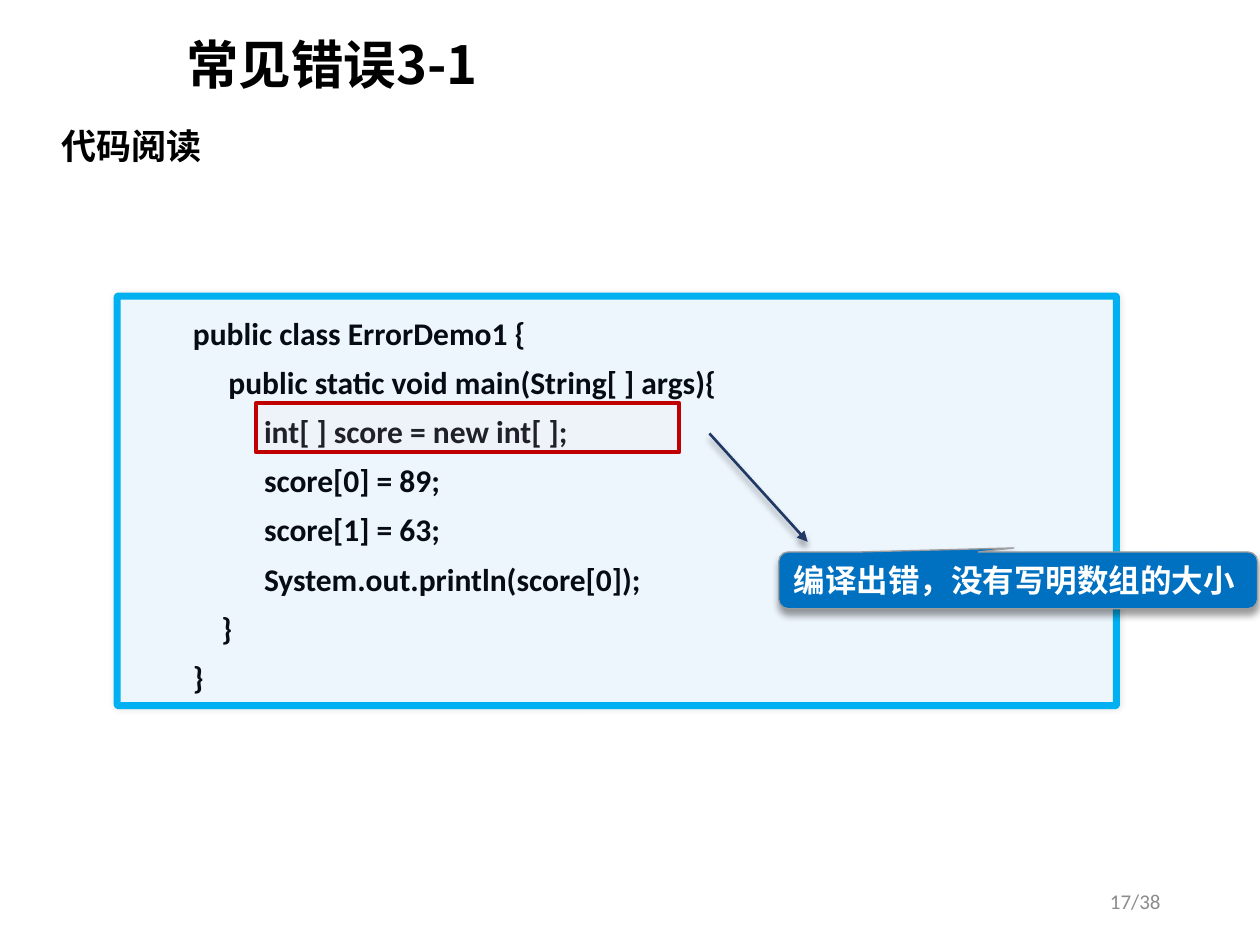
import pptx
import pptx.util
import pptx.dml.color
import pptx.enum.shapes
import pptx.enum.text
import pptx.oxml
import pptx.oxml.ns

Pt = pptx.util.Pt
Kind = pptx.enum.shapes.MSO_SHAPE
Anchor = pptx.enum.text.MSO_ANCHOR
Align = pptx.enum.text.PP_ALIGN
qn = pptx.oxml.ns.qn

THEME = {
    "panel": "EDF5FD", "frame": "00B0F0", "code": "060B14",
    "note": "0070C0", "edge": "9D9D9D", "white": "FFFFFF",
    "tint": "FFDDDD", "mark": "C00000", "arrow": "203864",
    "ink": "000000", "grey": "8C8C8C",
    "cjk": "Noto Sans CJK SC", "body": "Calibri", "plain": "Arial",
    "title": 30, "head": 20, "text": 18, "foot": 12,
}
TITLE = "常见错误3-1"
HEAD = "代码阅读"
NOTE = "编译出错，没有写明数组的大小"
PAGE = "17/38"
CODE = [
    "public class ErrorDemo1 {",
    "     public static void main(String[ ] args){",
    "          int[ ] score = new int[ ];",
    "          score[0] = 89;",
    "          score[1] = 63;",
    "          System.out.println(score[0]);",
    "    }",
    "}",
]
SOFT = (10, 3, 0, 0)
DROP = (40, 4, 3, 90)


def color(key):
    return pptx.dml.color.RGBColor.from_string(THEME[key])


def node(tag, **attrs):
    item = pptx.oxml.parse_xml(f"<a:{tag} {pptx.oxml.ns.nsdecls('a')}/>")
    for key, value in attrs.items():
        item.set(key, str(value))
    return item


def shadow(alpha, blur, dist, angle):
    outer = node("outerShdw", blurRad=Pt(blur), dist=Pt(dist),
                 dir=angle * 60000, algn="ctr", rotWithShape=0)
    tone = node("srgbClr", val=THEME["ink"])
    tone.append(node("alpha", val=alpha * 1000))
    outer.append(tone)
    return outer


def stroke(item, key, width):
    item.line.color.rgb = color(key)
    item.line.width = Pt(width)


def block(kind, place, fill, edge, width, adjust=(), cast=None):
    shape = slide.shapes.add_shape(kind, *map(Pt, place))
    for i, value in enumerate(adjust):
        shape.adjustments[i] = value
    shape.shadow.inherit = False
    shape.fill.solid()
    shape.fill.fore_color.rgb = color(fill)
    stroke(shape, edge, width)
    if cast:
        shape._element.spPr.find(qn("a:effectLst")).append(shadow(*cast))
    return shape


def write(shape, lines, size, ink, face, bold=True, align=Align.LEFT,
          anchor=Anchor.TOP, space=None, indent=0, wrap=True):
    frame = shape.text_frame
    frame.word_wrap = wrap
    frame.vertical_anchor = anchor
    for i, line in enumerate(lines):
        para = frame.add_paragraph() if i else frame.paragraphs[0]
        para.alignment = align
        if space:
            para.line_spacing = space
        if indent:
            para._p.get_or_add_pPr().set("marL", str(Pt(indent)))
        run = para.add_run()
        run.text = line
        font = run.font
        font.size = Pt(THEME[size])
        font.bold = bold
        font.color.rgb = color(ink)
        font.name = THEME[face]
        latin = run._r.rPr.find(qn("a:latin"))
        latin.addnext(node("ea", typeface=THEME["cjk"]))
    return frame


def label(place, text, *style, **more):
    box = slide.shapes.add_textbox(*map(Pt, place))
    return write(box, [text], *style, **more)


deck = pptx.Presentation()
deck.slide_width, deck.slide_height = Pt(720), Pt(540)
slide = deck.slides.add_slide(deck.slide_layouts[6])

panel = block(Kind.ROUNDED_RECTANGLE, (67, 169.2, 571, 234),
              "panel", "frame", 4, [0.003], SOFT)
write(panel, CODE, "text", "code", "body", space=1.3, indent=36)

note = block(Kind.ROUNDED_RECTANGULAR_CALLOUT, (445, 315.4, 273.6, 32.4),
             "note", "edge", 0.75, [-0.009, -0.571, 0.167], DROP)
write(note, [NOTE], "text", "white", "plain", anchor=Anchor.MIDDLE)

mark = block(Kind.RECTANGLE, (146.2, 230.4, 242, 28), "tint", "mark", 2.25)
tint = mark._element.spPr.find(qn("a:solidFill"))
tint[0].append(node("alpha", val=10000))

arrow = slide.shapes.add_connector(
    pptx.enum.shapes.MSO_CONNECTOR.STRAIGHT,
    *map(Pt, (405.4, 247.7, 461.5, 309.6)))
stroke(arrow, "arrow", 1.5)
arrow.line._get_or_add_ln().append(node("tailEnd", type="triangle"))
cast = node("effectLst")
cast.append(shadow(*DROP))
arrow._element.spPr.append(cast)

head = label((28, 67.7, 95.8, 31.7), HEAD, "head", "ink", "cjk", wrap=False)
glow = node("effectLst")
glow.append(shadow(*DROP))
props = head.paragraphs[0].runs[0]._r.rPr
props.find(qn("a:solidFill")).addnext(glow)

label((99.4, 7.2, 620.6, 62.6), TITLE, "title", "ink", "cjk",
      anchor=Anchor.MIDDLE, space=0.9)
label((508.3, 500.4, 162, 28.8), PAGE, "foot", "grey", "body", bold=False,
      align=Align.RIGHT, anchor=Anchor.MIDDLE)

deck.save("out.pptx")
